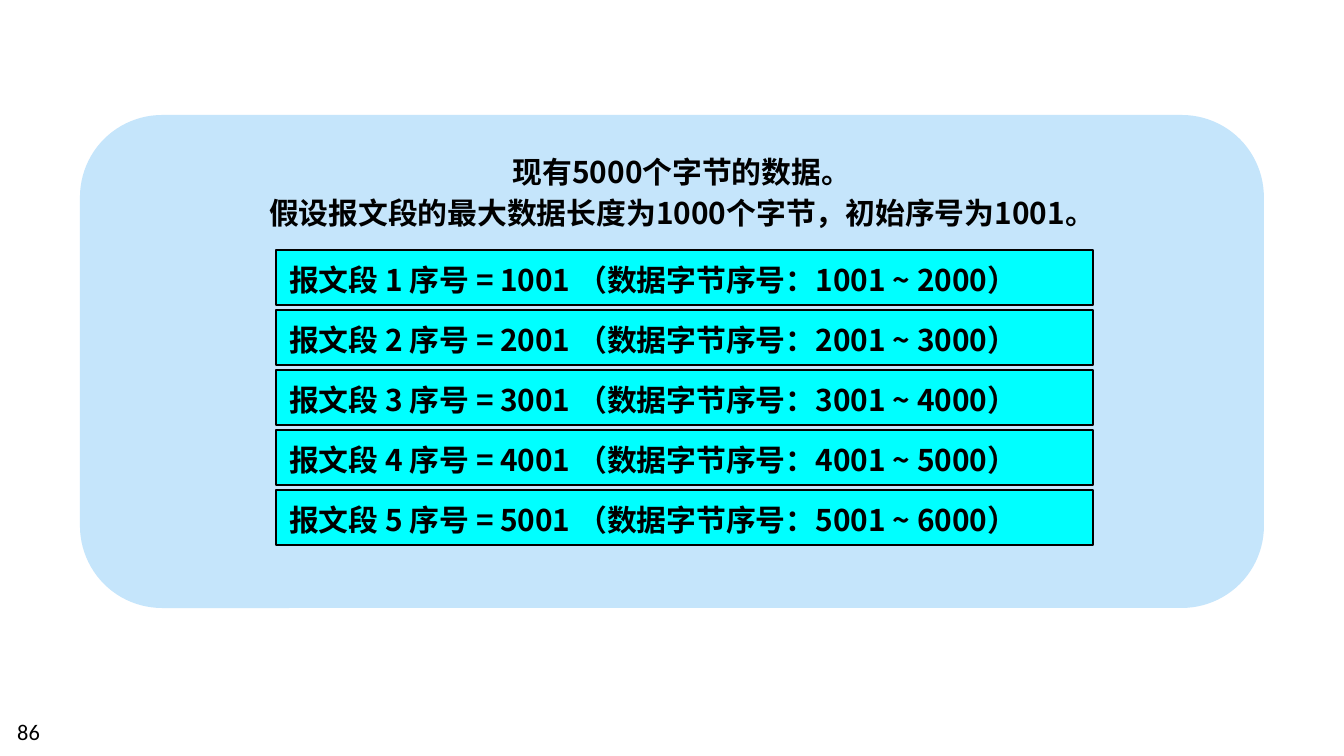
from dataclasses import dataclass

from pptx import Presentation
from pptx.dml.color import RGBColor
from pptx.enum.shapes import MSO_SHAPE as Shape
from pptx.enum.text import MSO_ANCHOR as Anchor, MSO_AUTO_SIZE as AutoSize, PP_ALIGN as Align
from pptx.oxml.ns import qn
from pptx.util import Pt

PX = 6804  # EMU per px


@dataclass(frozen=True)
class Theme:
    panel: RGBColor = RGBColor(0xC5, 0xE5, 0xFB)
    segment: RGBColor = RGBColor(0x00, 0xFF, 0xFF)
    ink: RGBColor = RGBColor(0x00, 0x00, 0x00)
    body_font: str = "Noto Sans CJK SC"
    number_font: str = "Calibri"
    body_size: int = 16
    number_size: int = 12
    leading: int = 22
    outline: float = 0.75


@dataclass(frozen=True)
class Box:
    left: int
    top: int
    width: int
    height: int

    def emu(self) -> tuple[int, ...]:
        return tuple(n * PX for n in (self.left, self.top, self.width, self.height))


@dataclass(frozen=True)
class Segment:
    number: int
    first_byte: int
    last_byte: int

    def label(self) -> str:
        return (f"报文段 {self.number} 序号 = {self.first_byte} "
                f"（数据字节序号：{self.first_byte} ~ {self.last_byte}）")


THEME = Theme()
PANEL = Box(80, 115, 1184, 493)
PREMISE = Box(208, 142, 948, 97)
FIRST_ROW = Box(276, 250, 817, 55)
PAGE_NUMBER = Box(4, 711, 313, 40)
ROW_PITCH = 60
SEGMENT_COUNT, SEGMENT_BYTES, INITIAL_NUMBER = 5, 1000, 1001
PREMISE_LINES = ["现有5000个字节的数据。",
                 "假设报文段的最大数据长度为1000个字节，初始序号为1001。"]


def set_font(paragraph, name: str, size: int, bold: bool) -> None:
    """Set one font for Latin and East Asian text alike."""
    font = paragraph.font
    font.name, font.size, font.bold = name, Pt(size), bold
    font.color.rgb = THEME.ink
    defaults = paragraph._p.pPr.find(qn("a:defRPr"))
    east_asian = defaults.makeelement(qn("a:ea"), {"typeface": name})
    defaults.find(qn("a:latin")).addnext(east_asian)


def write_body(frame, lines: list[str], align: Align) -> None:
    frame.word_wrap = True
    frame.auto_size = AutoSize.SHAPE_TO_FIT_TEXT
    frame.vertical_anchor = Anchor.TOP
    for index, line in enumerate(lines):
        paragraph = frame.add_paragraph() if index else frame.paragraphs[0]
        paragraph.text = line
        paragraph.alignment = align
        paragraph.line_spacing = Pt(THEME.leading)
        set_font(paragraph, THEME.body_font, THEME.body_size, True)


def add_filled(shapes, kind: Shape, box: Box, fill: RGBColor):
    shape = shapes.add_shape(kind, *box.emu())
    shape.shadow.inherit = False
    shape.fill.solid()
    shape.fill.fore_color.rgb = fill
    shape.line.fill.background()
    return shape


def add_segment(shapes, segment: Segment) -> None:
    top = FIRST_ROW.top + (segment.number - 1) * ROW_PITCH
    box = Box(FIRST_ROW.left, top, FIRST_ROW.width, FIRST_ROW.height)
    row = add_filled(shapes, Shape.RECTANGLE, box, THEME.segment)
    row.line.color.rgb = THEME.ink
    row.line.width = Pt(THEME.outline)
    write_body(row.text_frame, [segment.label()], Align.LEFT)


def add_page_number(shapes, number: str) -> None:
    frame = shapes.add_textbox(*PAGE_NUMBER.emu()).text_frame
    frame.word_wrap = True
    frame.vertical_anchor = Anchor.MIDDLE
    frame.text = number
    set_font(frame.paragraphs[0], THEME.number_font, THEME.number_size, False)


def main() -> None:
    deck = Presentation()
    deck.slide_width, deck.slide_height = 1344 * PX, 756 * PX
    shapes = deck.slides.add_slide(deck.slide_layouts[6]).shapes

    add_filled(shapes, Shape.ROUNDED_RECTANGLE, PANEL, THEME.panel)
    premise = shapes.add_textbox(*PREMISE.emu())
    write_body(premise.text_frame, PREMISE_LINES, Align.CENTER)
    for index in range(SEGMENT_COUNT):
        first = INITIAL_NUMBER + index * SEGMENT_BYTES
        add_segment(shapes, Segment(index + 1, first, first + SEGMENT_BYTES - 1))
    add_page_number(shapes, "86")

    deck.save("out.pptx")


if __name__ == "__main__":
    main()
